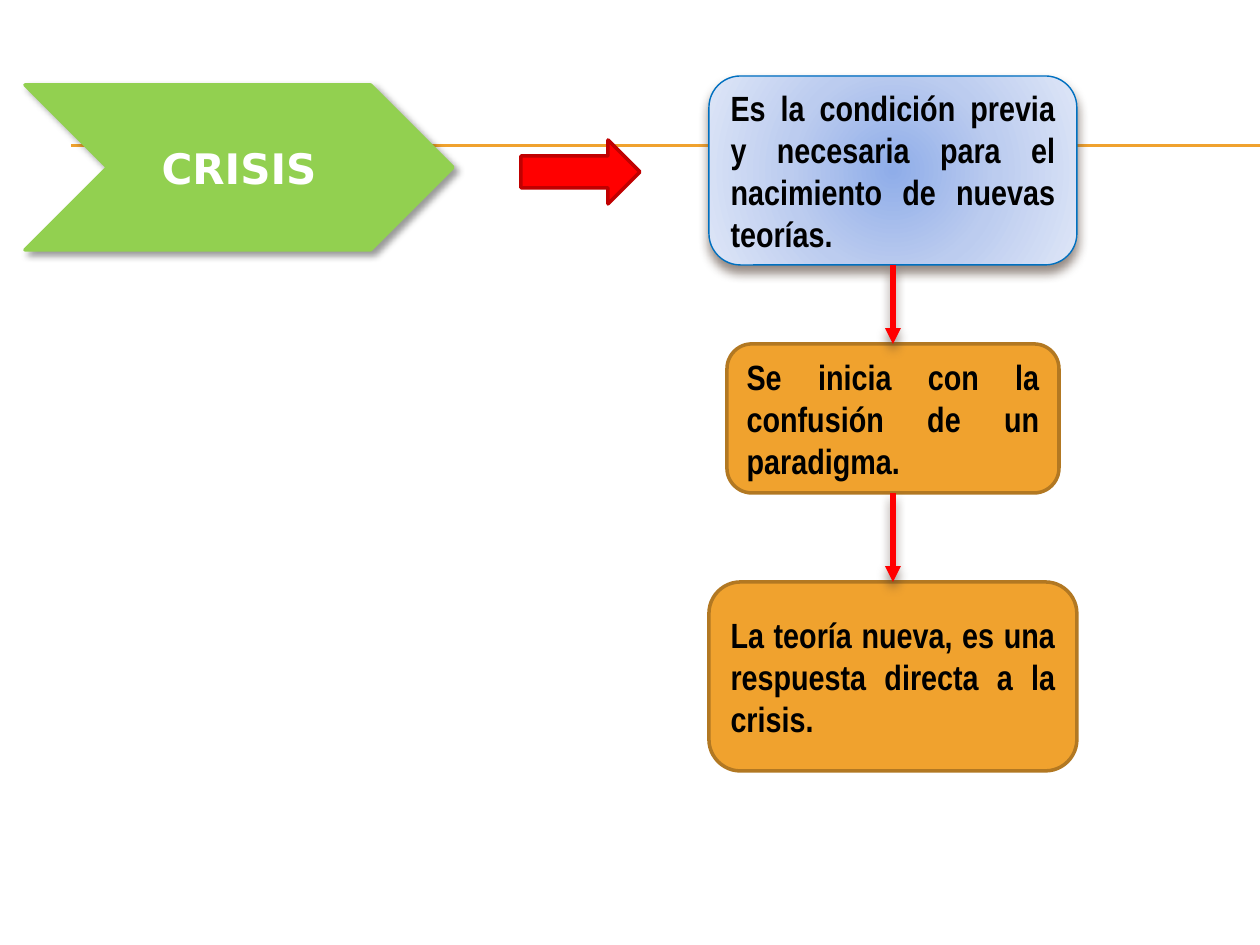
import pptx
import pptx.util
import pptx.dml.color
import pptx.enum.shapes
import pptx.enum.text
import pptx.oxml
import pptx.oxml.ns
from lxml import etree

PX = 914400 // 126
WIDTH, HEIGHT = 1260, 945
COLORS = {
    "orange": "F0A22E", "brown": "B27822", "blue": "0070C0", "green": "92D050",
    "red": "FF0000", "dark red": "C00000", "black": "000000", "white": "FFFFFF",
    "warm shadow": "4E3B30",
}
GRADIENT = [(0, "8FADE9"), (50, "BCCCEF"), (100, "DEE6F7")]

# colour, opacity %, blur pt, distance pt, direction in degrees
SOFT_SHADOW = ("warm shadow", 60, 6, 4, 90)
TITLE_SHADOW = ("black", 40, 4, 3, 45)

RULES_Y = [145, 146]
RULES_LEFT = 71

CHAIN_CENTER = 893
# text, top, width, height, fill (None for the gradient), line, line pt, shadow
CHAIN = [
    ("Es la condición previa y necesaria para el nacimiento de nuevas teorías.",
     76, 368, 189, None, "blue", 0.79, SOFT_SHADOW),
    ("Se inicia con la confusión de un paradigma.",
     344, 332, 149, "orange", "brown", 2, None),
    ("La teoría nueva, es una respuesta directa a la crisis.",
     582, 368, 189, "orange", "brown", 2, None),
]

SHAPES = pptx.enum.shapes.MSO_SHAPE
ALIGN = pptx.enum.text.PP_ALIGN


def rgb(name):
    return pptx.dml.color.RGBColor.from_string(COLORS[name])


def set_line(shape, color, points):
    shape.line.color.rgb = rgb(color)
    shape.line.width = pptx.util.Pt(points)


def set_effects(shape, shadow=None):
    """Replace the theme's effects by the given shadow, or by none."""
    properties = shape._element.spPr
    tag = pptx.oxml.ns.qn("a:effectLst")
    effects = properties.find(tag)
    if effects is None:
        effects = etree.SubElement(properties, tag)
    if shadow:
        color, opacity, blur, distance, degrees = shadow
        effects.append(pptx.oxml.parse_xml(
            f'<a:outerShdw {pptx.oxml.ns.nsdecls("a")} blurRad="{blur * 12700}" '
            f'dist="{distance * 12700}" dir="{degrees * 60000}" rotWithShape="0">'
            f'<a:srgbClr val="{COLORS[color]}"><a:alpha val="{opacity * 1000}"/>'
            f'</a:srgbClr></a:outerShdw>'))


def set_radial_fill(shape):
    stops = "".join(f'<a:gs pos="{position * 1000}"><a:srgbClr val="{color}"/></a:gs>'
                    for position, color in GRADIENT)
    gradient = pptx.oxml.parse_xml(
        f'<a:gradFill {pptx.oxml.ns.nsdecls("a")} rotWithShape="1"><a:gsLst>{stops}</a:gsLst>'
        f'<a:path path="circle"><a:fillToRect l="50000" t="50000" r="50000" b="50000"/>'
        f'</a:path></a:gradFill>')
    shape.fill.solid()
    properties = shape._element.spPr
    properties.replace(properties.find(pptx.oxml.ns.qn("a:solidFill")), gradient)


def add_shape(slide, kind, box, fill, line, points, shadow=None):
    shape = slide.shapes.add_shape(kind, *(value * PX for value in box))
    if fill:
        shape.fill.solid()
        shape.fill.fore_color.rgb = rgb(fill)
    else:
        set_radial_fill(shape)
    set_line(shape, line, points)
    shape.shadow.inherit = False
    set_effects(shape, shadow)
    return shape


def set_text(shape, text, font_name, size, color, alignment):
    frame = shape.text_frame
    frame.word_wrap = True
    frame.vertical_anchor = pptx.enum.text.MSO_ANCHOR.MIDDLE
    paragraph = frame.paragraphs[0]
    paragraph.text = text
    paragraph.alignment = alignment
    font = paragraph.font
    font.name, font.size, font.bold = font_name, pptx.util.Pt(size), True
    font.color.rgb = rgb(color)


def add_line(slide, start, end, color, points, shadow=None):
    line = slide.shapes.add_connector(
        pptx.enum.shapes.MSO_CONNECTOR.STRAIGHT, *(value * PX for value in (*start, *end)))
    set_line(line, color, points)
    set_effects(line, shadow)
    return line


def add_chain_arrow(slide, upper, lower):
    arrow = add_line(slide, (0, 0), (0, 0), "red", 3, SOFT_SHADOW)
    arrow.begin_connect(upper, 2)
    arrow.end_connect(lower, 0)
    etree.SubElement(arrow.line._get_or_add_ln(), pptx.oxml.ns.qn("a:tailEnd"), type="triangle")


def main():
    presentation = pptx.Presentation()
    presentation.slide_width = pptx.util.Inches(10)
    presentation.slide_height = pptx.util.Inches(7.5)
    slide = presentation.slides.add_slide(presentation.slide_layouts[6])

    for y in RULES_Y:
        add_line(slide, (RULES_LEFT, y), (WIDTH, y), "orange", 0.75)

    boxes = []
    for text, top, width, height, *style in CHAIN:
        left = CHAIN_CENTER - width // 2
        box = add_shape(slide, SHAPES.ROUNDED_RECTANGLE, (left, top, width, height), *style)
        set_text(box, text, "Arial Narrow", 20, "black", ALIGN.JUSTIFY)
        boxes.append(box)
    for upper, lower in zip(boxes, boxes[1:]):
        add_chain_arrow(slide, upper, lower)

    title = add_shape(slide, SHAPES.CHEVRON, (25, 85, 428, 165),
                      "green", "green", 2, TITLE_SHADOW)
    set_text(title, "CRISIS", "DejaVu Sans", 24, "white", ALIGN.CENTER)
    add_shape(slide, SHAPES.RIGHT_ARROW, (521, 140, 119, 64), "red", "dark red", 2)

    presentation.save("out.pptx")


if __name__ == "__main__":
    main()
